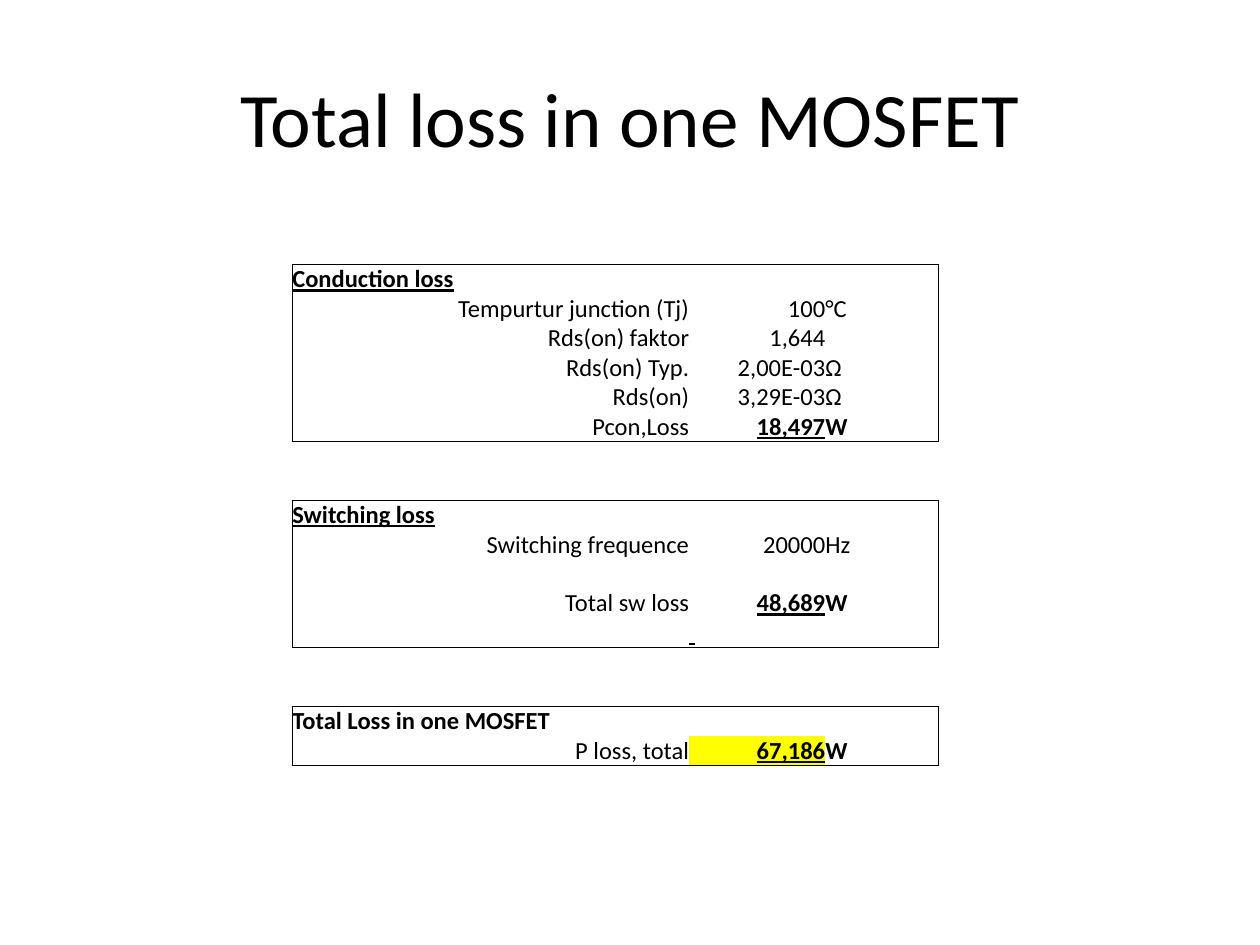
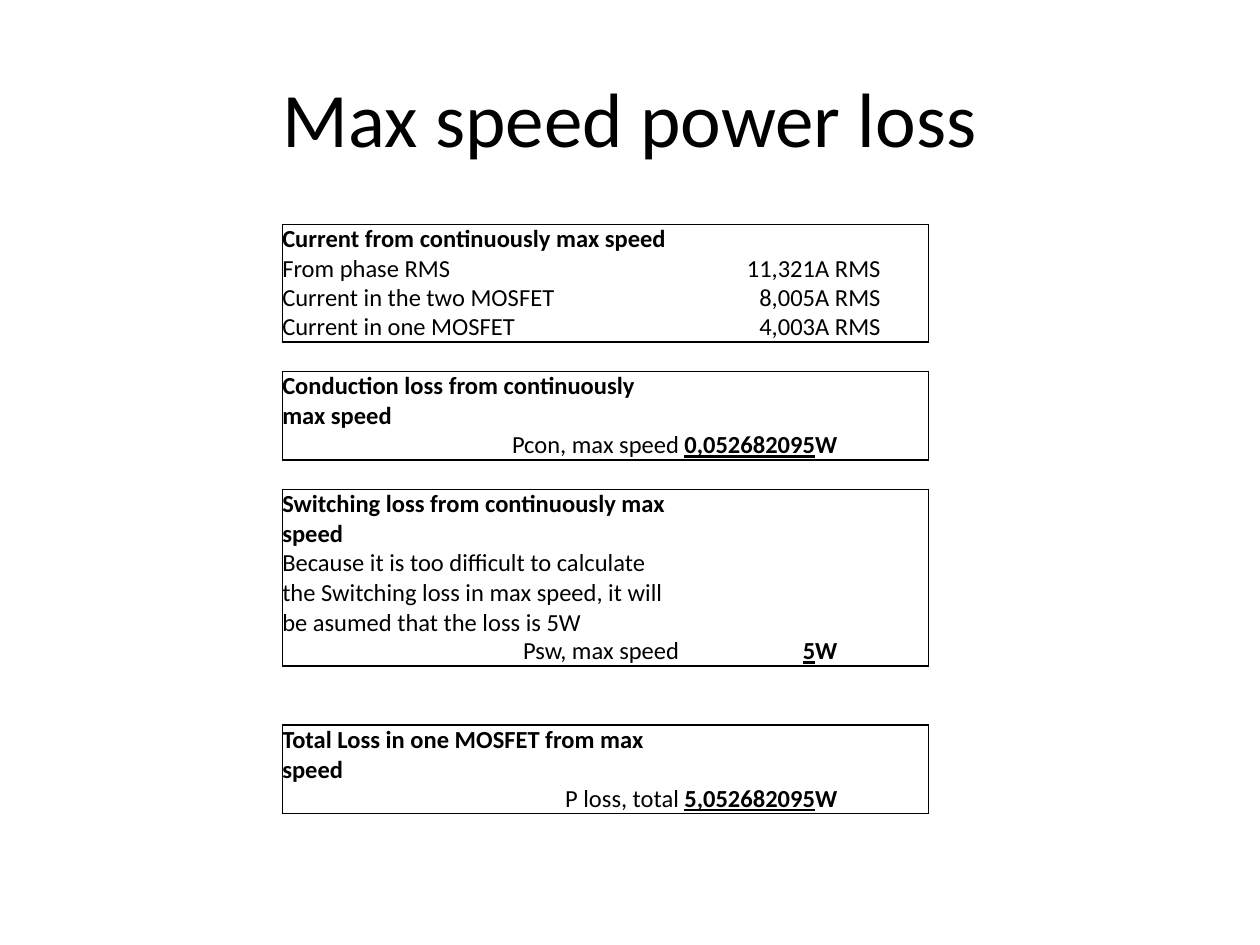
from lxml import etree
from pptx import Presentation
from pptx.dml.color import RGBColor
from pptx.enum.text import MSO_ANCHOR as Anchor, PP_ALIGN as Align
from pptx.oxml.ns import qn
from pptx.util import Inches, Pt

BLACK = RGBColor(0x00, 0x00, 0x00)
YELLOW = RGBColor(0xFF, 0xFF, 0x00)
FONT = "Calibri"
TITLE_SIZE, BODY_SIZE = 44, 14
COLUMN_WIDTHS = (3.15, 1.08, 0.9)
LINE_HEIGHT = 0.22
BORDER_WIDTH = Pt(1)


def heading(text, underline=False, lines=1):
    """Describe the bold first row of a section."""
    cells = [(text, dict(bold=True, underline=underline)), None, None]
    return dict(cells=cells, lines=lines)


def entry(label, value, unit="", align=Align.RIGHT):
    """Describe a plain row of label, value and unit."""
    cells = [(label, dict(align=align)), (value, dict(align=Align.RIGHT)), (unit, {})]
    return dict(cells=cells, lines=1)


def result(label, value, highlight=None):
    """Describe a row with an emphasised power in watts."""
    cells = [(label, dict(align=Align.RIGHT)),
             (value, dict(align=Align.RIGHT, bold=True, underline=True)),
             ("W", dict(bold=True))]
    return dict(cells=cells, lines=1, highlight=highlight)


def remark(text, lines):
    """Describe a row with a wrapped remark in the label column."""
    return dict(cells=[(text, {}), None, None], lines=lines)


def blank(middle=None):
    """Describe a row without label or unit."""
    return dict(cells=[None, middle, None], lines=1)


def write(frame, text, size=BODY_SIZE, align=Align.LEFT, bold=False,
          underline=False, color=BLACK):
    """Write one formatted paragraph into a text frame."""
    frame.word_wrap = True
    paragraph = frame.paragraphs[0]
    paragraph.alignment = align
    if not text:
        # Keeps an empty row as tall as one line of body text.
        etree.SubElement(paragraph._p, qn("a:endParaRPr"), sz=str(size * 100))
        return
    run = paragraph.add_run()
    run.text = text
    font = run.font
    font.name, font.size, font.color.rgb = FONT, Pt(size), color
    font.bold, font.underline = bold, underline


def set_borders(cell, **edges):
    """Rule the edges L, R, T, B that are true and clear the others."""
    properties = cell._tc.get_or_add_tcPr()
    for edge in "LRTB":
        line = etree.SubElement(properties, qn(f"a:ln{edge}"), w=str(BORDER_WIDTH))
        if edges[edge]:
            fill = etree.SubElement(line, qn("a:solidFill"))
            etree.SubElement(fill, qn("a:srgbClr"), val=str(BLACK))
        else:
            etree.SubElement(line, qn("a:noFill"))


def add_title(slide, text, left=0.5, top=0.3, width=9, height=1.25):
    """Place the centred slide title in its box."""
    box = slide.shapes.add_textbox(*map(Inches, (left, top, width, height)))
    box.text_frame.vertical_anchor = Anchor.MIDDLE
    write(box.text_frame, text, size=TITLE_SIZE, align=Align.CENTER)


def add_loss_table(slide, left, top, sections):
    """Place framed sections, each given as (rows, blank rows after it)."""
    rows, framed, rules = [], set(), set()
    for section, gap in sections:
        start, end = len(rows), len(rows) + len(section)
        framed.update(range(start, end))
        rules.update((start, end))
        rows += section + [blank() for _ in range(gap)]

    heights = [Inches(LINE_HEIGHT * row["lines"]) for row in rows]
    table = slide.shapes.add_table(
        len(rows), len(COLUMN_WIDTHS), Inches(left), Inches(top),
        Inches(sum(COLUMN_WIDTHS)), sum(heights)).table
    table.first_row = table.horz_banding = False
    for column, width in zip(table.columns, COLUMN_WIDTHS):
        column.width = Inches(width)

    last = len(COLUMN_WIDTHS) - 1
    for r, row in enumerate(rows):
        table.rows[r].height = heights[r]
        for c, content in enumerate(row["cells"]):
            cell = table.cell(r, c)
            cell.margin_left = cell.margin_right = 0
            cell.margin_top = cell.margin_bottom = 0
            cell.vertical_anchor = Anchor.BOTTOM
            set_borders(cell, L=c == 0 and r in framed, R=c == last and r in framed,
                        T=r in rules, B=r + 1 in rules)
            if c == 1 and row.get("highlight"):
                cell.fill.solid()
                cell.fill.fore_color.rgb = row["highlight"]
            else:
                cell.fill.background()
            text, style = content or ("", {})
            write(cell.text_frame, text, **style)


def add_loss_slide(deck, title, left, top, sections):
    """Add a slide with a title and one table of losses."""
    slide = deck.slides.add_slide(deck.slide_layouts[6])
    add_title(slide, title)
    add_loss_table(slide, left, top, sections)


MOSFET_SECTIONS = [
    ([heading("Conduction loss", underline=True),
      entry("Tempurtur junction (Tj)", "100", "°C"),
      entry("Rds(on) faktor", "1,644"),
      entry("Rds(on) Typ.", "2,00E-03", "Ω"),
      entry("Rds(on)", "3,29E-03", "Ω"),
      result("Pcon,Loss", "18,497")], 2),
    ([heading("Switching loss", underline=True),
      entry("Switching frequence", "20000", "Hz"),
      blank(),
      result("Total sw loss", "48,689"),
      blank(("\u00a0", dict(bold=True, underline=True)))], 2),
    ([heading("Total Loss in one MOSFET"),
      result("P loss, total", "67,186", highlight=YELLOW)], 0),
]

MAX_SPEED_SECTIONS = [
    ([heading("Current from continuously max speed"),
      entry("From phase RMS", "11,321", "A RMS", align=Align.LEFT),
      entry("Current in the two MOSFET", "8,005", "A RMS", align=Align.LEFT),
      entry("Current in one MOSFET", "4,003", "A RMS", align=Align.LEFT)], 1),
    ([heading("Conduction loss from continuously max speed", lines=2),
      result("Pcon, max speed", "0,052682095")], 1),
    ([heading("Switching loss from continuously max speed", lines=2),
      remark("Because it is too difficult to calculate the Switching loss in max "
             "speed, it will be asumed that the loss is 5W", lines=3),
      result("Psw, max speed", "5")], 2),
    ([heading("Total Loss in one MOSFET from max speed", lines=2),
      result("P loss, total", "5,052682095")], 0),
]

deck = Presentation()
deck.slide_width, deck.slide_height = Inches(10), Inches(7.5)
add_loss_slide(deck, "Total loss in one MOSFET", 2.32, 2.1, MOSFET_SECTIONS)
add_loss_slide(deck, "Max speed power loss", 2.24, 1.78, MAX_SPEED_SECTIONS)
deck.save("out.pptx")
